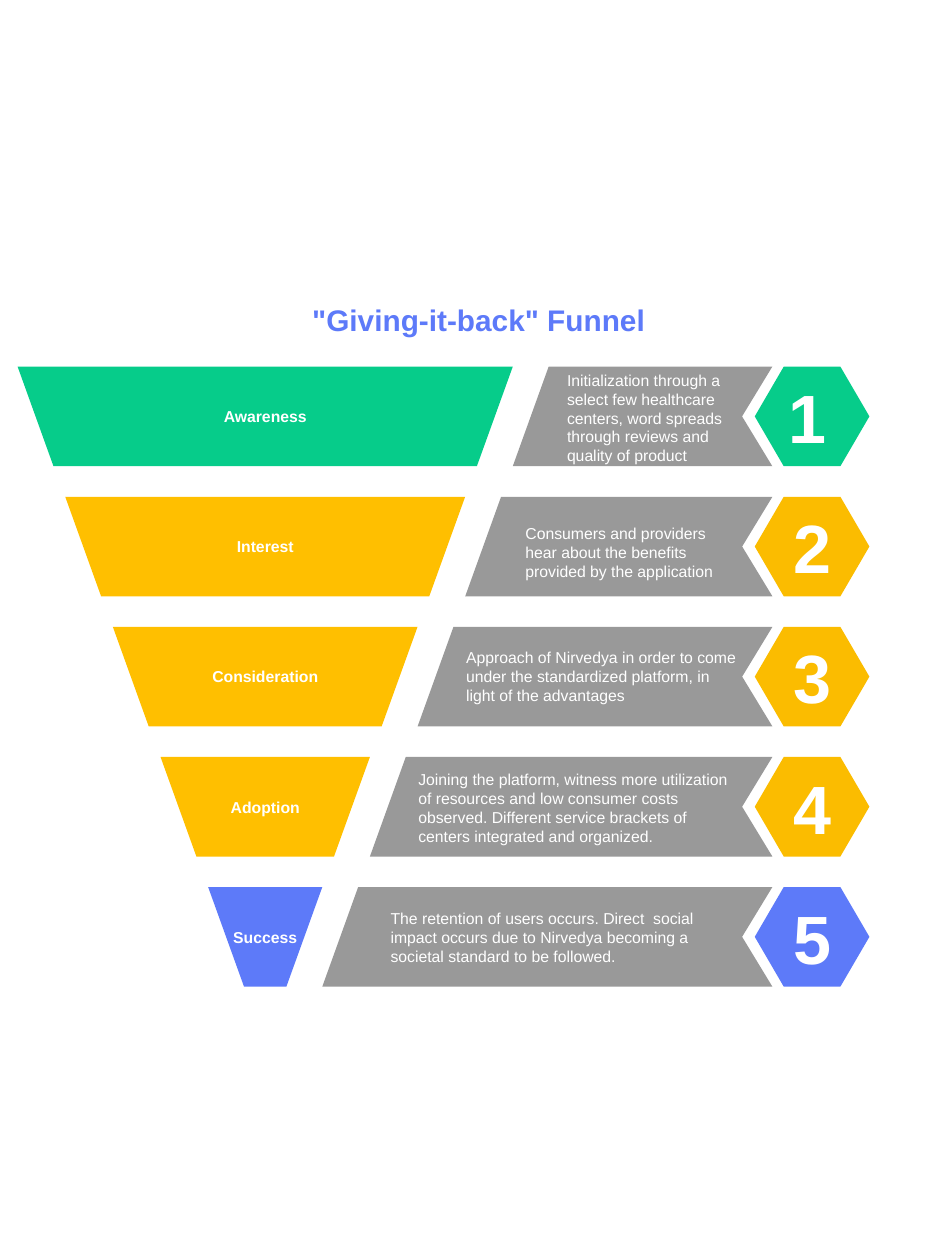
from dataclasses import dataclass

from pptx import Presentation
from pptx.dml.color import RGBColor
from pptx.enum.text import MSO_ANCHOR, MSO_AUTO_SIZE, PP_ALIGN
from pptx.slide import Slide
from pptx.util import Inches, Pt

COLORS = {
    "green": "06CC8A",
    "amber": "FFBF00",
    "deep_amber": "FBBC00",
    "blue": "5D7AF9",
    "gray": "999999",
    "white": "FFFFFF",
}
FORMATS = {
    "title": {"name": "Arial", "size": Pt(17), "bold": True},
    "label": {"name": "Arial", "size": Pt(9), "bold": True},
    "detail": {"name": "Arial", "size": Pt(9), "bold": False},
    "number": {"name": "Arial", "size": Pt(39), "bold": True},
}
FRAME = {
    "word_wrap": True,
    "vertical_anchor": MSO_ANCHOR.MIDDLE,
    "margin_left": 0,
    "margin_right": 0,
    "margin_top": 0,
    "margin_bottom": 0,
    "auto_size": MSO_AUTO_SIZE.SHAPE_TO_FIT_TEXT,
}
FIRST_TOP = 2.91
ROW_STEP = 1.0325
BAND_HEIGHT = 0.79
SIDE_STEP = 0.378
SLANT = 0.285
FUNNEL_LEFT = 0.14
FUNNEL_RIGHT = 4.07
ARROW_RIGHT = 6.13
NOTCH = 0.24
HEXAGON_LEFT = 5.99
HEXAGON_RIGHT = 6.9
HEXAGON_CORNER = 0.23

Point = tuple[float, float]


@dataclass(frozen=True)
class Area:
    left: float
    top: float
    width: float
    height: float


@dataclass(frozen=True)
class Stage:
    label: str
    detail: str
    detail_area: Area
    funnel_color: str
    hexagon_color: str
    number_width: float = 0.41


STAGES = [
    Stage(
        "Awareness",
        "Initialization through a select few healthcare centers, "
        "word spreads through reviews and quality of product",
        Area(4.5, 2.94, 1.51, 0.75), "green", "green", 0.33,
    ),
    Stage(
        "Interest",
        "Consumers and providers hear about the benefits "
        "provided by the application",
        Area(4.17, 4.16, 1.65, 0.45), "amber", "deep_amber",
    ),
    Stage(
        "Consideration",
        "Approach of Nirvedya in order to come under the "
        "standardized platform, in light of the advantages",
        Area(3.7, 5.14, 2.15, 0.45), "amber", "deep_amber",
    ),
    Stage(
        "Adoption",
        "Joining the platform, witness more utilization of resources and low "
        "consumer costs observed. Different service brackets of centers "
        "integrated and organized.",
        Area(3.32, 6.11, 2.52, 0.6), "amber", "deep_amber",
    ),
    Stage(
        "Success",
        "The retention of users occurs. Direct  social impact occurs due to "
        "Nirvedya becoming a societal standard to be followed.",
        Area(3.1, 7.21, 2.51, 0.45), "blue", "blue",
    ),
]


def draw_polygon(page: Slide, points: list[Point], color: str) -> None:
    corners = [(Inches(x), Inches(y)) for x, y in points]
    builder = page.shapes.build_freeform(*corners[0])
    builder.add_line_segments(corners[1:], close=True)
    shape = builder.convert_to_shape()
    shape.shadow.inherit = False
    shape.fill.solid()
    shape.fill.fore_color.rgb = RGBColor.from_string(COLORS[color])
    shape.line.fill.background()


def draw_text(page: Slide, text: str, area: Area, style: str,
              color: str = "white", align: PP_ALIGN = PP_ALIGN.CENTER) -> None:
    box = page.shapes.add_textbox(
        Inches(area.left), Inches(area.top), Inches(area.width), Inches(area.height)
    )
    for name, value in FRAME.items():
        setattr(box.text_frame, name, value)
    para = box.text_frame.paragraphs[0]
    para.alignment = align
    span = para.add_run()
    span.text = text
    for name, value in FORMATS[style].items():
        setattr(span.font, name, value)
    span.font.color.rgb = RGBColor.from_string(COLORS[color])


def draw_stage(page: Slide, index: int, stage: Stage) -> None:
    top = FIRST_TOP + index * ROW_STEP
    middle = top + BAND_HEIGHT / 2
    bottom = top + BAND_HEIGHT
    left = FUNNEL_LEFT + index * SIDE_STEP
    right = FUNNEL_RIGHT - index * SIDE_STEP

    draw_polygon(page, [
        (left, top), (right, top), (right - SLANT, bottom), (left + SLANT, bottom),
    ], stage.funnel_color)
    draw_polygon(page, [
        (right + SLANT, top), (ARROW_RIGHT, top), (ARROW_RIGHT - NOTCH, middle),
        (ARROW_RIGHT, bottom), (right, bottom),
    ], "gray")
    draw_polygon(page, [
        (HEXAGON_LEFT + HEXAGON_CORNER, top), (HEXAGON_RIGHT - HEXAGON_CORNER, top),
        (HEXAGON_RIGHT, middle), (HEXAGON_RIGHT - HEXAGON_CORNER, bottom),
        (HEXAGON_LEFT + HEXAGON_CORNER, bottom), (HEXAGON_LEFT, middle),
    ], stage.hexagon_color)

    draw_text(page, stage.label, Area(1.54, top + 0.32, 1.13, 0.15), "label")
    draw_text(page, stage.detail, stage.detail_area, "detail", align=PP_ALIGN.LEFT)
    draw_text(page, str(index + 1), Area(6.24, top + 0.07, stage.number_width, 0.65),
              "number")


def main() -> None:
    deck = Presentation()
    deck.slide_width = Inches(7.5)
    deck.slide_height = Inches(10)
    page = deck.slides.add_slide(deck.slide_layouts[6])
    draw_text(page, '"Giving-it-back" Funnel', Area(2.35, 2.4, 2.9, 0.28), "title", "blue")
    for index, stage in enumerate(STAGES):
        draw_stage(page, index, stage)
    deck.save("out.pptx")


if __name__ == "__main__":
    main()
